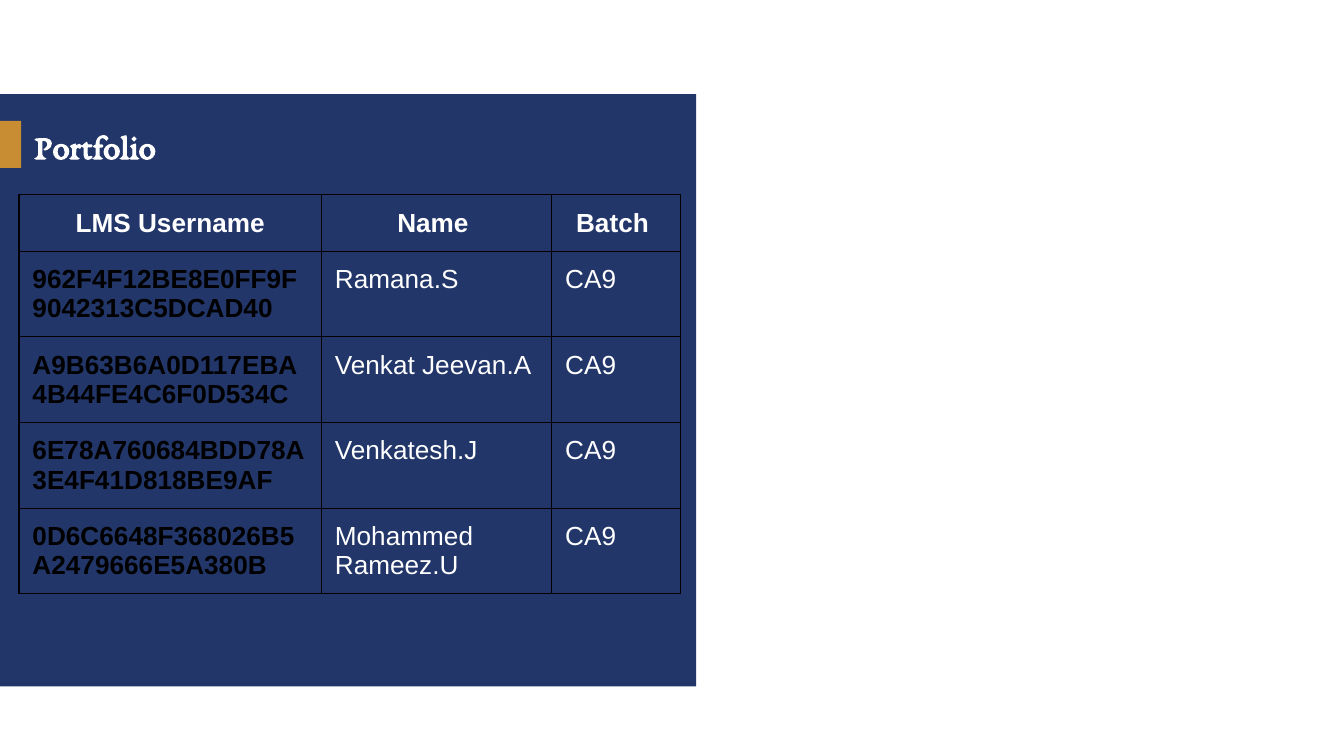
from dataclasses import dataclass

from lxml import etree
from pptx import Presentation
from pptx.dml.color import RGBColor
from pptx.enum import shapes, text
from pptx.oxml.ns import qn
from pptx.util import Pt


@dataclass(frozen=True)
class Theme:
    navy: str = "223669"
    gold: str = "C88C32"
    white: str = "FFFFFF"
    black: str = "000000"
    serif: str = "EB Garamond"
    sans: str = "Arial"
    head: float = 18.3
    body: float = 14
    inset: float = 7.2
    edge: float = 0.75


class Deck:
    def __init__(self, theme, wide, high):
        self.theme = theme
        self.prs = Presentation()
        self.prs.slide_width, self.prs.slide_height = Pt(wide), Pt(high)
        self.slide = self.prs.slides.add_slide(self.prs.slide_layouts[5])

    def style(self, para, face, size, color, bold):
        for run in para.runs:
            font = run.font
            font.name, font.size, font.bold = face, Pt(size), bold
            font.color.rgb = RGBColor.from_string(color)

    def block(self, box, color):
        rect = self.slide.shapes.add_shape(
            shapes.MSO_SHAPE.RECTANGLE, *map(Pt, box))
        rect.shadow.inherit = False
        rect.fill.solid()
        rect.fill.fore_color.rgb = RGBColor.from_string(color)
        rect.line.fill.background()

    def title(self, box, words):
        """Fill the title placeholder and bring it to the front."""
        t = self.theme
        hold = self.slide.shapes.title
        hold.left, hold.top, hold.width, hold.height = map(Pt, box)
        frame = hold.text_frame
        frame.text = words
        frame.word_wrap = True
        frame.auto_size = text.MSO_AUTO_SIZE.NONE
        frame.vertical_anchor = text.MSO_ANCHOR.MIDDLE
        para = frame.paragraphs[0]
        para.alignment = text.PP_ALIGN.LEFT
        self.style(para, t.serif, t.head, t.white, True)
        self.slide.shapes._spTree.append(hold._element)

    def border(self, cell):
        props = cell._tc.get_or_add_tcPr()
        for side in ("a:lnL", "a:lnR", "a:lnT", "a:lnB"):
            line = etree.SubElement(props, qn(side), w=str(Pt(self.theme.edge)))
            fill = etree.SubElement(line, qn("a:solidFill"))
            etree.SubElement(fill, qn("a:srgbClr"), val=self.theme.black)

    def cell(self, cell, words, color, bold, align):
        t = self.theme
        self.border(cell)
        cell.fill.background()
        cell.margin_left = cell.margin_right = Pt(t.inset)
        cell.margin_top = cell.margin_bottom = Pt(t.inset)
        cell.text = words
        para = cell.text_frame.paragraphs[0]
        para.alignment = align
        self.style(para, t.sans, t.body, color, bold)

    def table(self, left, top, cols, highs, rows):
        """Draw a grid with a centred header row and a bold key column."""
        t = self.theme
        grid = self.slide.shapes.add_table(
            len(rows), len(cols), Pt(left), Pt(top),
            Pt(sum(cols)), Pt(sum(highs))).table
        grid.first_row = grid.horz_banding = False
        for col, wide in zip(grid.columns, cols):
            col.width = Pt(wide)
        for r, (row, high) in enumerate(zip(rows, highs)):
            grid.rows[r].height = Pt(high)
            for c, words in enumerate(row):
                head, key = r == 0, c == 0
                self.cell(grid.cell(r, c), words,
                          t.black if key and not head else t.white,
                          head or key,
                          text.PP_ALIGN.CENTER if head else text.PP_ALIGN.LEFT)


MEMBERS = [
    ("LMS Username", "Name ", "Batch "),
    ("962F4F12BE8E0FF9F9042313C5DCAD40", "Ramana.S", "CA9"),
    ("A9B63B6A0D117EBA4B44FE4C6F0D534C", "Venkat Jeevan.A", "CA9"),
    ("6E78A760684BDD78A3E4F41D818BE9AF", "Venkatesh.J", "CA9"),
    ("0D6C6648F368026B5A2479666E5A380B", "Mohammed Rameez.U", "CA9"),
]


def main():
    theme = Theme()
    deck = Deck(theme, 720, 405)
    deck.block((0, 50.4, 373, 317.4), theme.navy)
    deck.block((0, 64.8, 11.3, 25.2), theme.gold)
    deck.title((11.3, 64.2, 269.3, 27.4), "Portfolio")
    deck.table(10.2, 104.4, (162, 123.4, 69), (25.9,) + (44.6,) * 4, MEMBERS)
    deck.prs.save("out.pptx")


if __name__ == "__main__":
    main()
